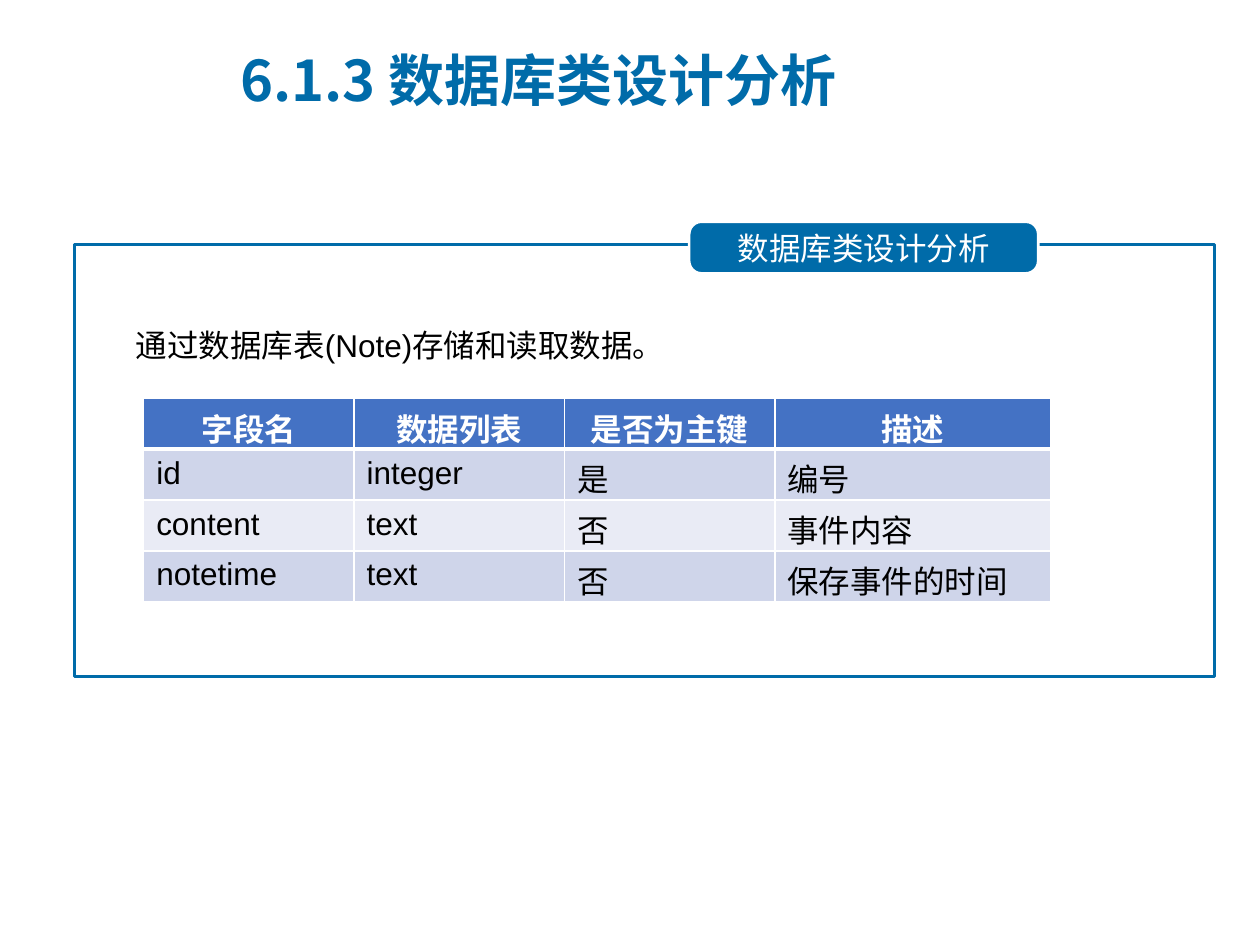
from dataclasses import dataclass

from lxml.etree import SubElement
from pptx import Presentation
from pptx.dml.color import RGBColor as Rgb
from pptx.enum.shapes import MSO_SHAPE as Shape
from pptx.enum.text import MSO_ANCHOR as Anchor, PP_ALIGN as Align
from pptx.oxml.ns import qn
from pptx.util import Inches, Pt


@dataclass(frozen=True)
class Theme:
    blue: str = "006BA9"
    white: str = "FFFFFF"
    black: str = "000000"
    header: str = "4472C4"
    bands: tuple = ("CFD5EA", "E9EBF5")
    latin: str = "Arial"
    chinese: str = "Noto Sans CJK SC"
    title_size: int = 32
    body_size: int = 18
    outline: float = 1.5
    rule: int = 1
    header_rule: int = 3


class SlideBuilder:
    def __init__(self, page, theme):
        self.page = page
        self.theme = theme

    def add_words(self, frame, text, color, font=None, size=None, bold=False,
                  align=Align.LEFT, indent=0, hanging=0):
        para = frame.paragraphs[0]
        para.alignment = align
        if indent:
            props = para._p.get_or_add_pPr()
            props.set("marL", str(Inches(indent)))
            props.set("indent", str(-Inches(hanging)))
        span = para.add_run()
        span.text = text
        formats = {"name": font or self.theme.latin,
                   "size": Pt(size or self.theme.body_size), "bold": bold}
        for name, value in formats.items():
            setattr(span.font, name, value)
        span.font.color.rgb = Rgb.from_string(color)
        east_asian = SubElement(span._r.get_or_add_rPr(), qn("a:ea"))
        east_asian.set("typeface", self.theme.chinese)

    def text(self, place, text, color, anchor=Anchor.TOP, **style):
        box = self.page.shapes.add_textbox(*map(Inches, place))
        box.text_frame.word_wrap = True
        box.text_frame.vertical_anchor = anchor
        self.add_words(box.text_frame, text, color, **style)

    def shape(self, kind, place, line, fill=None):
        shape = self.page.shapes.add_shape(kind, *map(Inches, place))
        shape.shadow.inherit = False
        shape.line.color.rgb = Rgb.from_string(line)
        shape.line.width = Pt(self.theme.outline)
        if fill:
            shape.fill.solid()
            shape.fill.fore_color.rgb = Rgb.from_string(fill)
        else:
            shape.fill.background()
        return shape

    def label(self, place, text):
        theme = self.theme
        label = self.shape(Shape.ROUNDED_RECTANGLE, place, theme.white, theme.blue)
        label.adjustments[0] = 0.24
        frame = label.text_frame
        formats = {"margin_left": Inches(0.24), "margin_right": Inches(0.24),
                   "margin_top": Inches(0.06), "margin_bottom": Inches(0.06),
                   "vertical_anchor": Anchor.MIDDLE, "word_wrap": True}
        for name, value in formats.items():
            setattr(frame, name, value)
        self.add_words(frame, text, theme.white, font=theme.chinese,
                       align=Align.CENTER)

    def borders(self, cell, top, bottom):
        props = cell._tc.get_or_add_tcPr()
        widths = {"L": self.theme.rule, "R": self.theme.rule, "T": top, "B": bottom}
        for position, (side, width) in enumerate(widths.items()):
            line = SubElement(props, qn(f"a:ln{side}"), w=str(Pt(width)))
            fill = SubElement(line, qn("a:solidFill"))
            SubElement(fill, qn("a:srgbClr"), val=self.theme.white)
            props.insert(position, line)  # borders precede the cell fill

    def table(self, place, widths, rows):
        theme = self.theme
        table = self.page.shapes.add_table(
            len(rows), len(widths), *map(Inches, place)).table
        for column, width in zip(table.columns, widths):
            column.width = Inches(width)
        for r, row in enumerate(rows):
            header = r == 0
            fill = theme.header if header else theme.bands[(r - 1) % 2]
            for c, text in enumerate(row):
                cell = table.cell(r, c)
                cell.fill.solid()
                cell.fill.fore_color.rgb = Rgb.from_string(fill)
                self.borders(cell,
                             top=theme.header_rule if r == 1 else theme.rule,
                             bottom=theme.header_rule if header else theme.rule)
                self.add_words(cell.text_frame, text,
                               theme.white if header else theme.black, bold=header,
                               align=Align.CENTER if header else Align.LEFT)


def main():
    deck = Presentation()
    deck.slide_width, deck.slide_height = Inches(10), Inches(7.5)
    theme = Theme()
    builder = SlideBuilder(deck.slides.add_slide(deck.slide_layouts[6]), theme)

    # Title
    builder.text((1.81, 0.21, 5.63, 0.84), "6.1.3 数据库类设计分析", theme.blue,
                 anchor=Anchor.MIDDLE, font=theme.chinese, size=theme.title_size,
                 bold=True, indent=0.62, hanging=0.62)

    # Frame with its label
    builder.shape(Shape.RECTANGLE, (0.59, 1.94, 9.05, 3.43), theme.blue)
    builder.label((5.47, 1.76, 2.77, 0.41), "数据库类设计分析")

    # Introduction
    builder.text((0.59, 2.54, 9.05, 0.4), "通过数据库表(Note)存储和读取数据。",
                 theme.black, indent=0.39)

    # Fields of the Note table
    builder.table((1.14, 3.16, 7.2, 1.62), (1.67, 1.67, 1.67, 2.19), [
        ("字段名", "数据列表", "是否为主键", "描述"),
        ("id", "integer", "是", "编号"),
        ("content", "text", "否", "事件内容"),
        ("notetime", "text", "否", "保存事件的时间"),
    ])

    deck.save("out.pptx")


if __name__ == "__main__":
    main()
